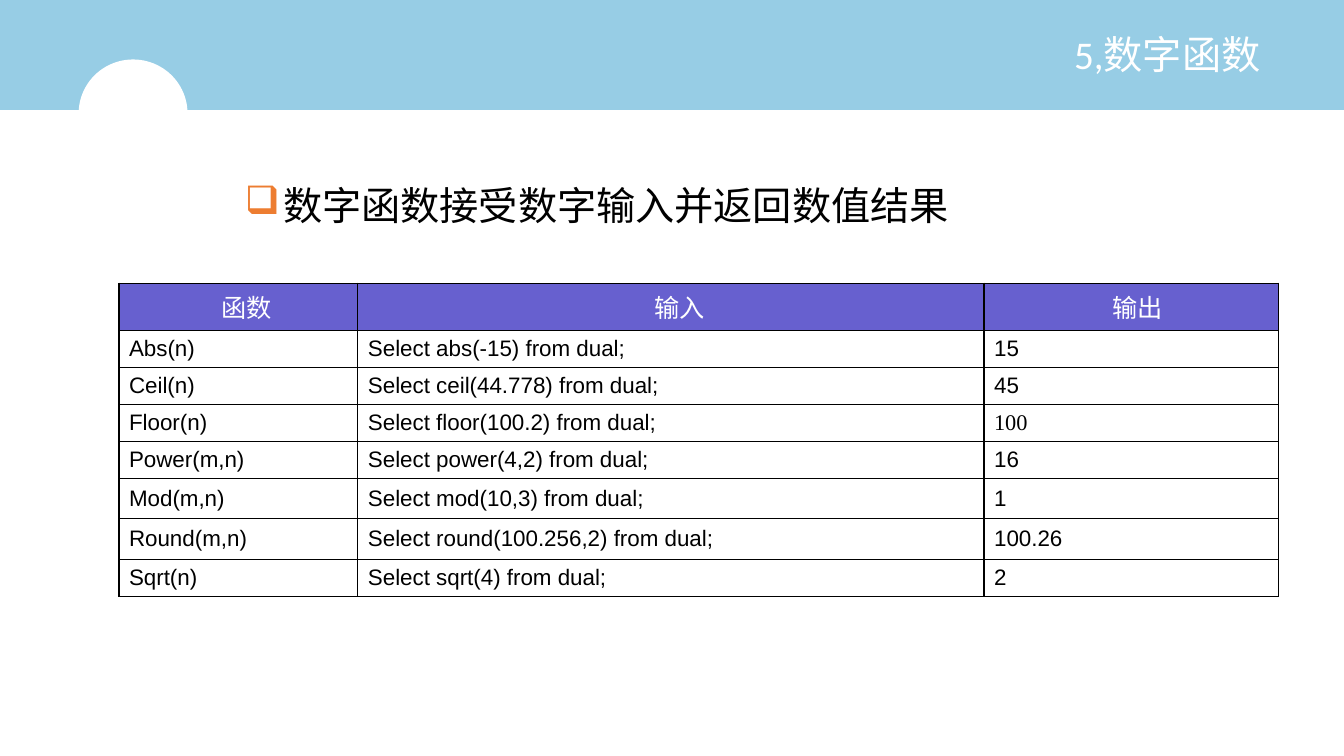
from lxml.etree import SubElement as Sub
from pptx import Presentation as Deck
from pptx.dml.color import RGBColor as Rgb
from pptx.enum.shapes import MSO_SHAPE as Kind
from pptx.enum.text import MSO_ANCHOR as Anchor, PP_ALIGN as Align
from pptx.oxml.ns import qn
from pptx.util import Inches, Pt

TITLE = "5,数字函数"
LEAD = "数字函数接受数字输入并返回数值结果"
HEADS = ["函数", "输入", "输出"]
ROWS = [
    ("Abs(n)", "abs(-15)", "15"),
    ("Ceil(n)", "ceil(44.778)", "45"),
    ("Floor(n)", "floor(100.2)", "100"),
    ("Power(m,n)", "power(4,2)", "16"),
    ("Mod(m,n)", "mod(10,3)", "1"),
    ("Round(m,n)", "round(100.256,2)", "100.26"),
    ("Sqrt(n)", "sqrt(4)", "2"),
]
WIDTHS = [2.37, 6.21, 2.92]
HEIGHTS = [0.47] + [0.35] * 4 + [0.4, 0.4, 0.37]
PADS = [0.27, 0.27, 0.22]
HEX = {"sky": "97CDE5", "white": "FFFFFF", "black": "000000",
       "head": "6760CF", "mark": "ED7D31"}
SERIF = {"100": "Times New Roman"}


def tint(name):
    return Rgb.from_string(HEX[name])


def apply(item, form):
    for key, value in form.items():
        setattr(item, key, value)


def write(frame, text, size, face, color, **form):
    para = frame.paragraphs[0]
    apply(para, form)
    run = para.add_run()
    run.text = text
    apply(run.font, {"size": Pt(size), "name": face, "bold": False})
    run.font.color.rgb = tint(color)
    return para


def paint(slide, kind, box, color):
    shape = slide.shapes.add_shape(kind, *map(Inches, box))
    shape.shadow.inherit = False
    shape.fill.solid()
    shape.fill.fore_color.rgb = tint(color)
    shape.line.fill.background()


def edge(cell):
    props = cell._tc.get_or_add_tcPr()
    for spot, side in enumerate(("lnL", "lnR", "lnT", "lnB")):
        line = Sub(props, qn("a:" + side), w=str(Pt(1)))
        fill = Sub(line, qn("a:solidFill"))
        Sub(fill, qn("a:srgbClr"), val=HEX["black"])
        props.insert(spot, line)


def head(slide):
    paint(slide, Kind.RECTANGLE, (0, 0, 13.33, 1.09), "sky")
    paint(slide, Kind.OVAL, (0.78, 0.59, 1.08, 1.07), "white")
    title = slide.shapes.title
    apply(title, {"left": Inches(7.85), "top": Inches(0.01),
                  "width": Inches(4.75), "height": Inches(1.11)})
    title.text_frame.vertical_anchor = Anchor.MIDDLE
    write(title.text_frame, TITLE, 28, "Calibri", "white",
          alignment=Align.RIGHT, line_spacing=0.9)
    slide.shapes._spTree.append(title._element)


def lead(slide):
    box = slide.shapes.add_textbox(*map(Inches, (2.33, 1.8, 8.43, 0.74)))
    box.text_frame.word_wrap = True
    para = write(box.text_frame, LEAD, 28, "Calibri", "black", line_spacing=0.9)
    props = para._p.get_or_add_pPr()
    dent = Inches(0.38)
    props.set("marL", str(dent))
    props.set("indent", str(-dent))
    Sub(Sub(props, qn("a:buClr")), qn("a:srgbClr"), val=HEX["mark"])
    Sub(props, qn("a:buChar"), char="❑")


def grid(slide):
    data = [HEADS] + [(name, f"Select {call} from dual;", out)
                      for name, call, out in ROWS]
    size = (1.18, 2.81, sum(WIDTHS), sum(HEIGHTS))
    table = slide.shapes.add_table(len(data), len(HEADS),
                                   *map(Inches, size)).table
    table.horz_banding = False
    for col, width in zip(table.columns, WIDTHS):
        col.width = Inches(width)
    for r, (row, height) in enumerate(zip(data, HEIGHTS)):
        table.rows[r].height = Inches(height)
        for c, text in enumerate(row):
            cell = table.cell(r, c)
            cell.vertical_anchor = Anchor.MIDDLE
            if r == 0:
                cell.margin_left = Inches(PADS[c])
                cell.fill.solid()
                cell.fill.fore_color.rgb = tint("head")
                write(cell.text_frame, text, 18, "Arial", "white",
                      alignment=Align.CENTER)
            else:
                cell.fill.background()
                write(cell.text_frame, text, 16, SERIF.get(text, "Arial"), "black")
            edge(cell)


def main():
    deck = Deck()
    apply(deck, {"slide_width": Inches(13.33), "slide_height": Inches(7.5)})
    slide = deck.slides.add_slide(deck.slide_layouts[5])
    head(slide)
    lead(slide)
    grid(slide)
    deck.save("out.pptx")


if __name__ == "__main__":
    main()
